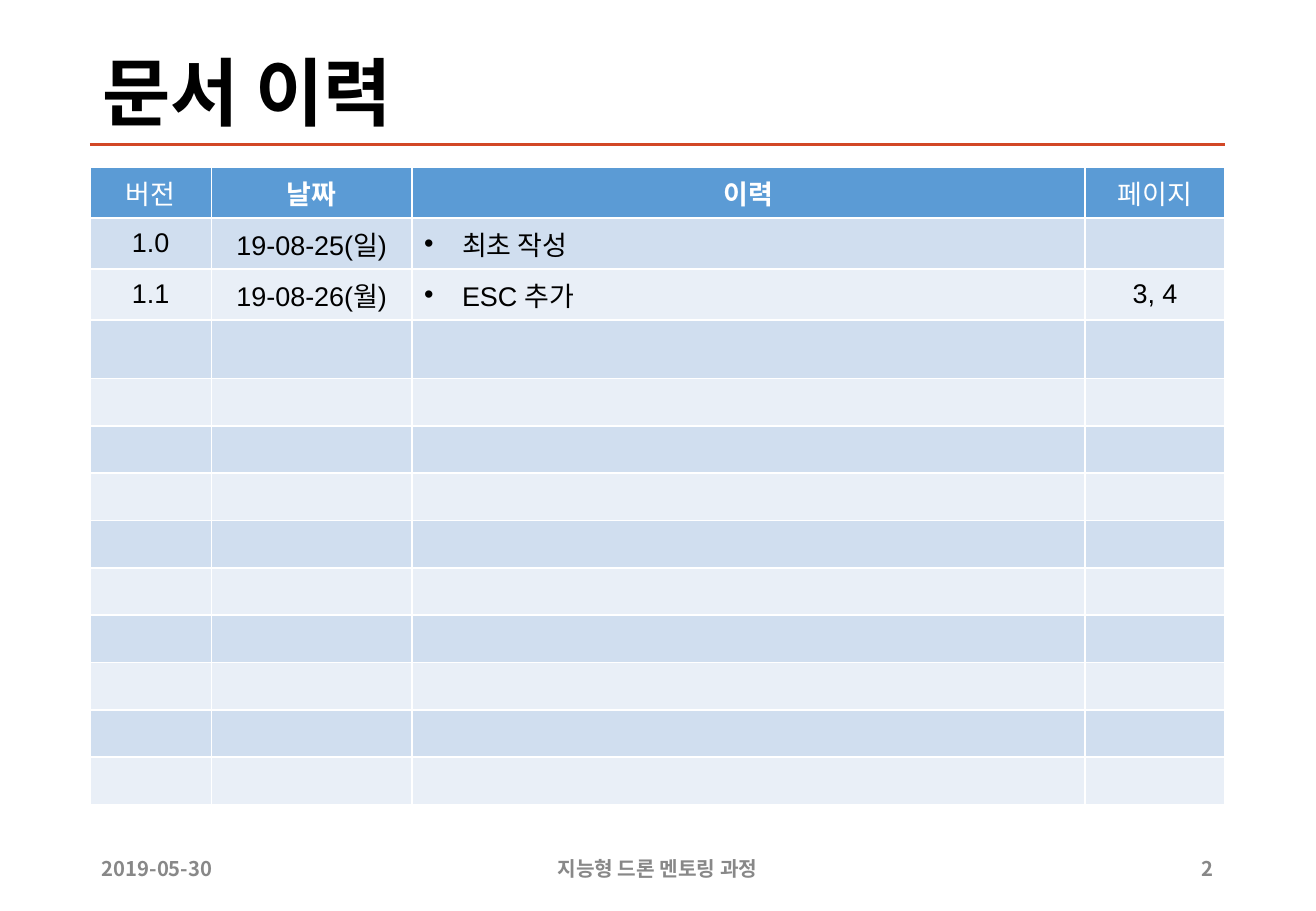
import pptx
import pptx.dml.color
import pptx.enum.shapes
import pptx.enum.text
import pptx.oxml.ns
import pptx.util
from lxml import etree

Cm = pptx.util.Cm
Pt = pptx.util.Pt
qn = pptx.oxml.ns.qn
ALIGN = pptx.enum.text.PP_ALIGN
MIDDLE = pptx.enum.text.MSO_ANCHOR.MIDDLE
KOREAN = "Noto Sans CJK KR"

LEFT, WIDTH = 1.88, 23.73
HEADERS = ["버전", "날짜", "이력", "페이지"]
BOLD_HEADERS = ["날짜", "이력"]
HISTORY = [
    ["1.0", "19-08-25(일)", "최초 작성", ""],
    ["1.1", "19-08-26(월)", "ESC 추가", "3, 4"],
]
ROW_COUNT = 13
COLUMN_WIDTHS = [2.54, 4.19, 14.07, 2.93]
ROW_HEIGHT, TALL_ROW, TALL_HEIGHT = 0.99, 3, 1.22
HEADER_FILL, BAND_FILLS = "5B9BD5", ["E9EFF7", "D0DEEF"]


def color(hex_string):
    """Return the colour for a hex string."""
    return pptx.dml.color.RGBColor.from_string(hex_string)


def add_run(p, text, size, font, hex_string, bold):
    """Add one formatted run to a paragraph."""
    r = p.add_run()
    r.text = text
    r.font.size = Pt(size)
    r.font.name = font
    r.font.bold = bold
    r.font.color.rgb = color(hex_string)
    etree.SubElement(r.font._element, qn("a:ea"), typeface=KOREAN)


def add_bullet(p):
    """Give a paragraph a round bullet with a hanging indent."""
    pPr = p._p.get_or_add_pPr()
    pPr.set("marL", "285750")
    pPr.set("indent", "-285750")
    etree.SubElement(pPr, qn("a:buFont"), typeface="Arial")
    etree.SubElement(pPr, qn("a:buChar"), char="•")


def add_title(s, text, left, top, width, height):
    """Fill the title placeholder and underline it with a rule."""
    sp = s.shapes.title
    sp.left, sp.top, sp.width, sp.height = Cm(left), Cm(top), Cm(width), Cm(height)
    tf = sp.text_frame
    tf.auto_size = pptx.enum.text.MSO_AUTO_SIZE.NONE
    tf.vertical_anchor = MIDDLE
    p = tf.paragraphs[0]
    p.alignment = ALIGN.LEFT
    p.line_spacing = 0.9
    add_run(p, text, 44, "Times New Roman", "000000", True)
    bottom = Cm(top + height)
    rule = s.shapes.add_connector(
        pptx.enum.shapes.MSO_CONNECTOR.STRAIGHT, Cm(left), bottom, Cm(left + width), bottom)
    rule.line.color.rgb = color("D24726")
    rule.line.width = Pt(2)
    etree.SubElement(rule._element.spPr, qn("a:effectLst"))


def fill_cell(cell, text, row, column):
    """Fill and format one cell of the history table."""
    cell.fill.solid()
    cell.fill.fore_color.rgb = color(BAND_FILLS[row % 2] if row else HEADER_FILL)
    cell.vertical_anchor = MIDDLE
    p = cell.text_frame.paragraphs[0]
    if not text:
        etree.SubElement(p._p, qn("a:endParaRPr"), sz="1600")
        return
    if row and HEADERS[column] == "이력":
        add_bullet(p)
    else:
        p.alignment = ALIGN.CENTER
    bold = row == 0 and text in BOLD_HEADERS
    add_run(p, text, 16, "Arial", "000000" if row else "FFFFFF", bold)


def add_history(s, left, top, width):
    """Add the banded table of document versions."""
    table = s.shapes.add_table(ROW_COUNT, len(HEADERS), Cm(left), Cm(top), Cm(width),
                               Cm(ROW_HEIGHT * ROW_COUNT)).table
    for column, column_width in zip(table.columns, COLUMN_WIDTHS):
        column.width = Cm(column_width)
    rows = [HEADERS] + HISTORY
    rows += [[""] * len(HEADERS)] * (ROW_COUNT - len(rows))
    for i, texts in enumerate(rows):
        table.rows[i].height = Cm(TALL_HEIGHT if i == TALL_ROW else ROW_HEIGHT)
        for j, text in enumerate(texts):
            fill_cell(table.cell(i, j), text, i, j)


def add_footer(s, left, top, width, height):
    """Add the date, the course name and the page number along the bottom."""
    parts = [
        ("2019-05-30", 0, 3.23, ALIGN.LEFT),
        ("지능형 드론 멘토링 과정", (width - 9.3) / 2, 9.3, ALIGN.CENTER),
        ("2", width - 1.35, 1.35, ALIGN.RIGHT),
    ]
    for text, offset, part_width, alignment in parts:
        sp = s.shapes.add_textbox(Cm(left + offset), Cm(top), Cm(part_width), Cm(height))
        tf = sp.text_frame
        tf.word_wrap = True
        tf.vertical_anchor = MIDDLE
        p = tf.paragraphs[0]
        p.alignment = alignment
        add_run(p, text, 12, KOREAN, "888888", True)


def main():
    """Build the document history slide."""
    prs = pptx.Presentation()
    prs.slide_width, prs.slide_height = Cm(27.51), Cm(19.05)
    s = prs.slides.add_slide(prs.slide_layouts[5])
    add_title(s, "문서 이력", LEFT, 1.02, WIDTH, 2)
    add_history(s, LEFT, 3.49, WIDTH)
    add_footer(s, LEFT, 17.66, WIDTH, 1.01)
    prs.save("out.pptx")


if __name__ == "__main__":
    main()
